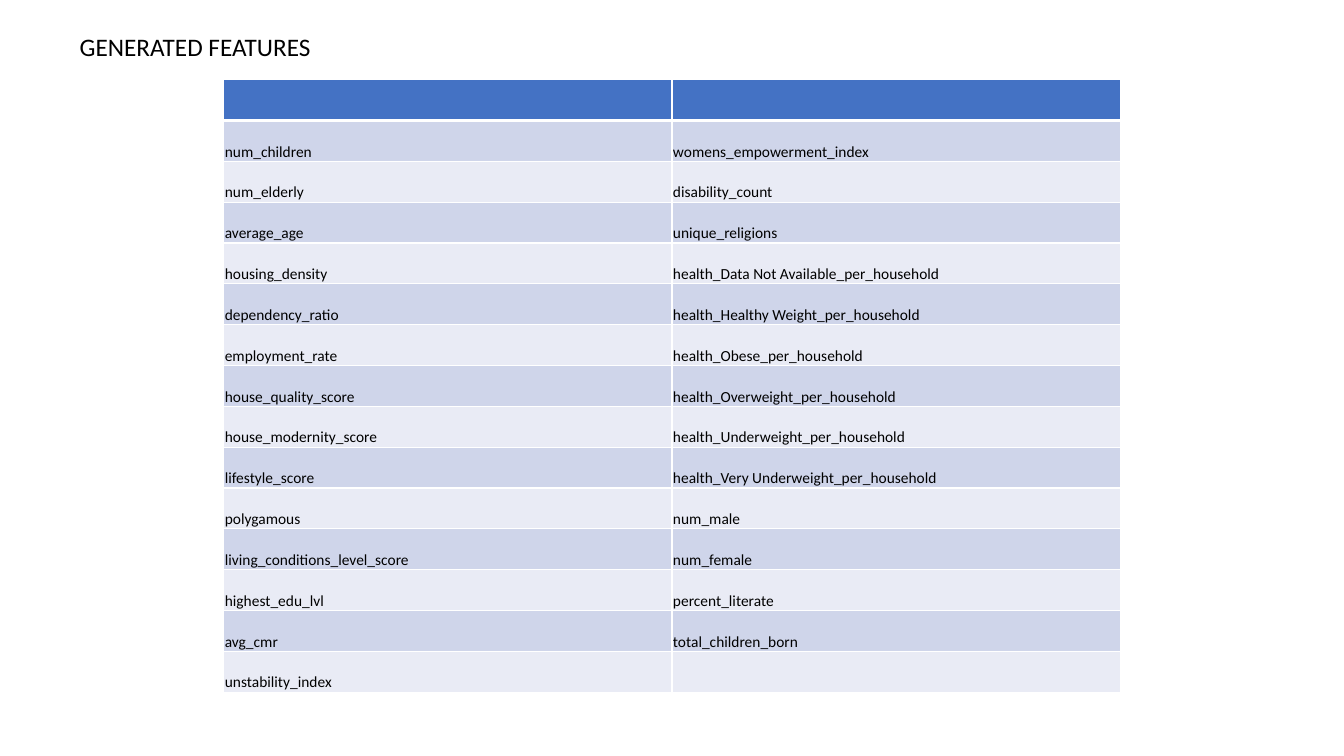
import pptx
import pptx.util
import pptx.dml.color
import pptx.enum.text
import pptx.oxml
import pptx.oxml.ns
from dataclasses import dataclass
from itertools import zip_longest

Inches, Pt = pptx.util.Inches, pptx.util.Pt
RGB = pptx.dml.color.RGBColor.from_string


@dataclass(frozen=True)
class Theme:
    font: str = "Calibri"
    title_size: int = 18
    cell_size: int = 11
    text: str = "000000"
    header: str = "4472C4"
    bands: tuple = ("CFD5EA", "E9EBF5")
    border: str = "FFFFFF"


theme = Theme()


def add_run(p, text, size):
    r = p.add_run()
    r.text = text
    r.font.name = theme.font
    r.font.size = Pt(size)
    r.font.bold = False
    r.font.color.rgb = RGB(theme.text)


def add_border(cell, side, width):
    cell._tc.get_or_add_tcPr().append(pptx.oxml.parse_xml(
        f'<a:{side} {pptx.oxml.ns.nsdecls("a")} w="{Pt(width)}">'
        f'<a:solidFill><a:srgbClr val="{theme.border}"/></a:solidFill></a:{side}>'))


prs = pptx.Presentation()
prs.slide_width, prs.slide_height = Inches(13.33), Inches(7.5)
s = prs.slides.add_slide(prs.slide_layouts[5])

# Title
title = s.shapes.title
title.left, title.top = Inches(0.69), Inches(0.26)
title.width, title.height = Inches(2.51), Inches(0.4)
tf = title.text_frame
tf.word_wrap = False
tf.auto_size = pptx.enum.text.MSO_AUTO_SIZE.SHAPE_TO_FIT_TEXT
tf.vertical_anchor = pptx.enum.text.MSO_ANCHOR.TOP
p = tf.paragraphs[0]
p.alignment = pptx.enum.text.PP_ALIGN.LEFT
add_run(p, "GENERATED FEATURES", theme.title_size)

# Feature names, one list per column
household = [
    "num_children", "num_elderly", "average_age", "housing_density",
    "dependency_ratio", "employment_rate", "house_quality_score",
    "house_modernity_score", "lifestyle_score", "polygamous",
    "living_conditions_level_score", "highest_edu_lvl", "avg_cmr",
    "unstability_index",
]
health_groups = ["Data Not Available", "Healthy Weight", "Obese", "Overweight",
                 "Underweight", "Very Underweight"]
population = [
    "womens_empowerment_index", "disability_count", "unique_religions",
    *[f"health_{group}_per_household" for group in health_groups],
    "num_male", "num_female", "percent_literate", "total_children_born",
]
rows = [("", ""), *zip_longest(household, population, fillvalue="")]

# Table with a blank header and banded rows
table = s.shapes.add_table(len(rows), 2, Inches(2.22), Inches(0.79),
                           Inches(8.89), Inches(6.08)).table
for i, names in enumerate(rows):
    fill = theme.bands[(i - 1) % 2] if i else theme.header
    for j, name in enumerate(names):
        cell = table.cell(i, j)
        cell.margin_left = cell.margin_right = cell.margin_top = Inches(0.01)
        cell.margin_bottom = 0
        cell.vertical_anchor = pptx.enum.text.MSO_ANCHOR.BOTTOM
        add_border(cell, "lnL", 1)
        add_border(cell, "lnR", 1)
        add_border(cell, "lnT", 3 if i == 1 else 1)
        add_border(cell, "lnB", 3 if i == 0 else 1)
        cell.fill.solid()
        cell.fill.fore_color.rgb = RGB(fill)
        if name:
            add_run(cell.text_frame.paragraphs[0], name, theme.cell_size)

prs.save("out.pptx")
